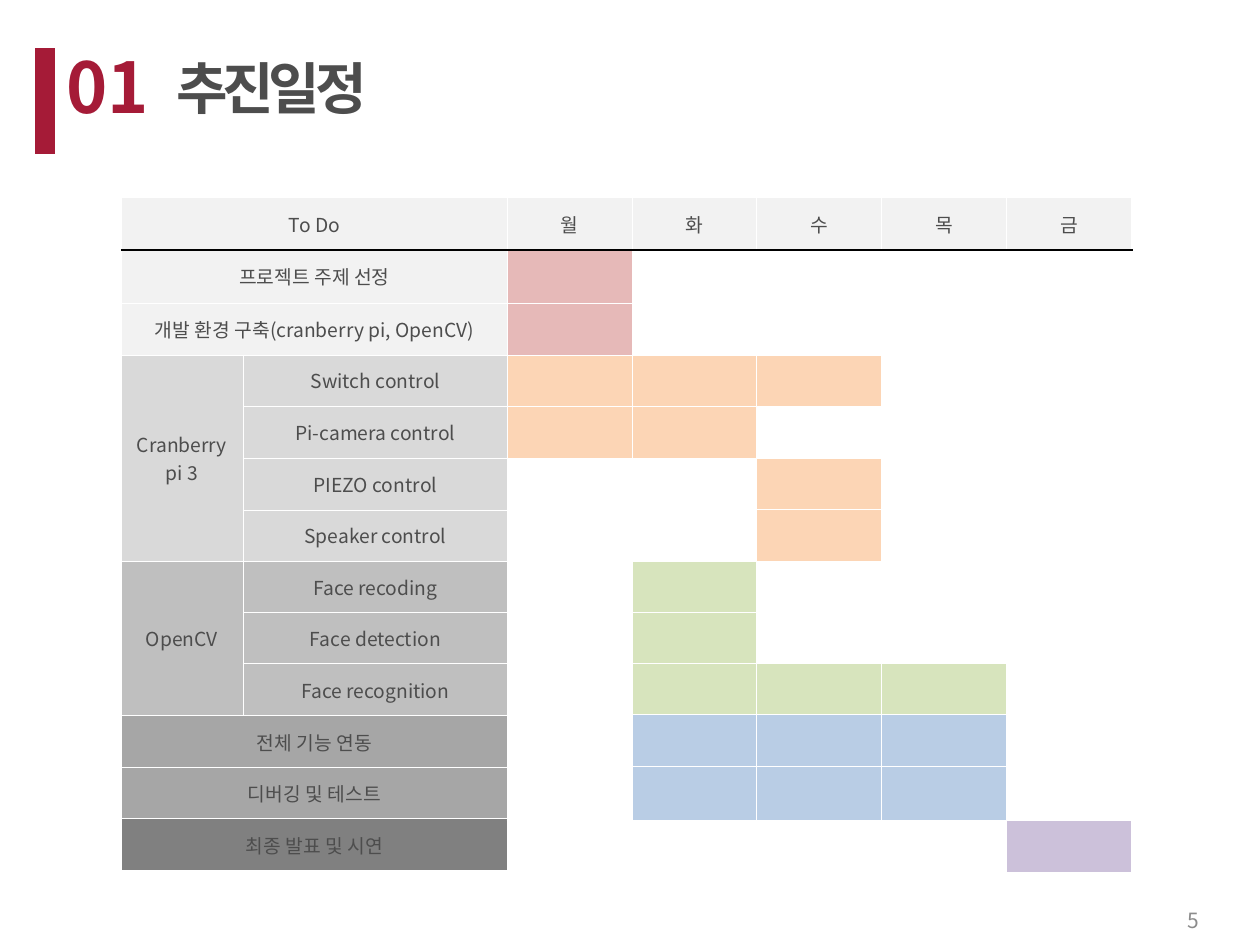
from dataclasses import dataclass

from lxml import etree
from pptx import Presentation
from pptx.dml.color import RGBColor
from pptx.enum.shapes import MSO_CONNECTOR, MSO_SHAPE
from pptx.enum.text import MSO_ANCHOR, PP_ALIGN
from pptx.oxml.ns import qn
from pptx.util import Emu, Pt

RECTANGLE = MSO_SHAPE.RECTANGLE
STRAIGHT = MSO_CONNECTOR.STRAIGHT
TOP, MIDDLE = MSO_ANCHOR.TOP, MSO_ANCHOR.MIDDLE
CENTER, RIGHT, JUSTIFY = PP_ALIGN.CENTER, PP_ALIGN.RIGHT, PP_ALIGN.JUSTIFY

EMU_PER_PX = 914400 / 126
FONT = "Noto Sans CJK KR"
CRIMSON, INK, GREY, WHITE, BLACK = "A51B37", "4D4D4D", "8C8C8C", "FFFFFF", "000000"
HEADER_SHADE = "F2F2F2"
PINK, ORANGE, GREEN, BLUE, PURPLE = "E6B9B8", "FCD5B5", "D7E4BD", "B9CDE5", "CCC1DA"
DAYS = "월화수목금"


@dataclass(frozen=True)
class Task:
    label: str
    shade: str
    days: str
    day_color: str
    group: str = ""


@dataclass(frozen=True)
class Label:
    text: str
    left: int
    top: int
    width: int
    height: int
    size: int
    color: str
    align: PP_ALIGN
    anchor: MSO_ANCHOR = TOP
    bold: bool = False
    spacing: int = 0


BOARD, VISION = "Cranberry pi 3", "OpenCV"
TASKS = [
    Task("프로젝트 주제 선정", "F2F2F2", "월", PINK),
    Task("개발 환경 구축(cranberry pi, OpenCV)", "F2F2F2", "월", PINK),
    Task("Switch control", "D9D9D9", "월화수", ORANGE, BOARD),
    Task("Pi-camera control", "D9D9D9", "월화", ORANGE, BOARD),
    Task("PIEZO control", "D9D9D9", "수", ORANGE, BOARD),
    Task("Speaker control", "D9D9D9", "수", ORANGE, BOARD),
    Task("Face recoding", "BFBFBF", "화", GREEN, VISION),
    Task("Face detection", "BFBFBF", "화", GREEN, VISION),
    Task("Face recognition", "BFBFBF", "화수목", GREEN, VISION),
    Task("전체 기능 연동", "A6A6A6", "화수목", BLUE),
    Task("디버깅 및 테스트", "A6A6A6", "화수목", BLUE),
    Task("최종 발표 및 시연", "808080", "금", PURPLE),
]
LABELS = [
    Label("01", 54, 37, 129, 97, 40, CRIMSON, JUSTIFY, bold=True),
    Label("추진일정", 164, 47, 456, 81, 32, INK, JUSTIFY, bold=True, spacing=-3),
    Label("5", 917, 895, 294, 50, 12, GREY, RIGHT, MIDDLE),
]


def px(length: int) -> Emu:
    return Emu(round(length * EMU_PER_PX))


def rgb(color: str) -> RGBColor:
    return RGBColor.from_string(color)


def even_split(total: int, count: int) -> list[int]:
    edges = [round(total * i / count) for i in range(count + 1)]
    return [end - start for start, end in zip(edges, edges[1:])]


def style_paragraph(paragraph, size: int, color: str, align: PP_ALIGN,
                    bold: bool = False, spacing: int = 0) -> None:
    paragraph.alignment = align
    font = paragraph.font
    font.size, font.bold, font.name = Pt(size), bold, FONT
    font.color.rgb = rgb(color)
    # Korean glyphs take the East Asian typeface
    defaults = paragraph._p.get_or_add_pPr().find(qn("a:defRPr"))
    etree.SubElement(defaults, qn("a:ea"), typeface=FONT)
    if spacing:
        defaults.set("spc", str(spacing * 100))


def add_label(slide, label: Label) -> None:
    box = slide.shapes.add_textbox(px(label.left), px(label.top), px(label.width), px(label.height))
    frame = box.text_frame
    frame.word_wrap = True
    frame.vertical_anchor = label.anchor
    frame.text = label.text
    style_paragraph(frame.paragraphs[0], label.size, label.color, label.align,
                    label.bold, label.spacing)


def add_borders(cell) -> None:
    properties = cell._tc.get_or_add_tcPr()
    for side in ("lnL", "lnR", "lnT", "lnB"):
        line = etree.SubElement(properties, qn(f"a:{side}"), w=str(Pt(0.5)))
        fill = etree.SubElement(line, qn("a:solidFill"))
        etree.SubElement(fill, qn("a:srgbClr"), val=WHITE)


def fill_cell(cell, text: str, color: str) -> None:
    cell.text = text
    cell.vertical_anchor = MIDDLE
    cell.margin_left = cell.margin_right = px(6)
    cell.margin_top = cell.margin_bottom = 0
    style_paragraph(cell.text_frame.paragraphs[0], 11, INK, CENTER)
    add_borders(cell)
    if color:
        cell.fill.solid()
        cell.fill.fore_color.rgb = rgb(color)
    else:
        cell.fill.background()


def add_grid(slide, left: int, top: int, columns: list[int], rows: list[int],
             content: list[list[tuple[str, str]]]):
    table = slide.shapes.add_table(len(rows), len(columns), px(left), px(top),
                                   px(sum(columns)), px(sum(rows))).table
    table.first_row = table.horz_banding = False
    for column, width in zip(table.columns, columns):
        column.width = px(width)
    for row, height in zip(table.rows, rows):
        row.height = px(height)
    for r, line in enumerate(content):
        for c, (text, color) in enumerate(line):
            fill_cell(table.cell(r, c), text, color)
    return table


def add_task_table(slide) -> None:
    content = [[("To Do", HEADER_SHADE), ("", HEADER_SHADE)]]
    spans = [(0, 0, 0, 1)]
    group_rows: dict[str, list[int]] = {}
    for row, task in enumerate(TASKS, start=1):
        if task.group:
            members = group_rows.setdefault(task.group, [])
            title = "" if members else task.group
            members.append(row)
            content.append([(title, task.shade), (task.label, task.shade)])
        else:
            content.append([(task.label, task.shade), ("", task.shade)])
            spans.append((row, 0, row, 1))
    spans += [(members[0], 0, members[-1], 0) for members in group_rows.values()]

    table = add_grid(slide, 121, 197, [122, 265], [53, 53] + even_split(568, 11), content)
    for first_row, first_column, last_row, last_column in spans:
        table.cell(first_row, first_column).merge(table.cell(last_row, last_column))


def add_day_table(slide) -> None:
    content = [[(day, HEADER_SHADE) for day in DAYS]]
    content += [[("", task.day_color if day in task.days else "") for day in DAYS]
                for task in TASKS]
    rows = [53, 53] + even_split(464, 9) + [54, 52]
    add_grid(slide, 507, 197, [125] * len(DAYS), rows, content)


def main() -> None:
    presentation = Presentation()
    presentation.slide_width, presentation.slide_height = px(1260), px(945)
    slide = presentation.slides.add_slide(presentation.slide_layouts[6])

    # Title bar, heading and page number
    accent = slide.shapes.add_shape(RECTANGLE, px(35), px(48), px(20), px(106))
    accent.shadow.inherit = False
    accent.fill.solid()
    accent.fill.fore_color.rgb = rgb(CRIMSON)
    accent.line.fill.background()
    for label in LABELS:
        add_label(slide, label)

    # Schedule
    add_task_table(slide)
    add_day_table(slide)

    # Rule under the header row
    rule = slide.shapes.add_connector(STRAIGHT, px(121), px(250), px(1133), px(250))
    rule.line.color.rgb = rgb(BLACK)
    rule.line.width = Pt(1)
    etree.SubElement(rule._element.spPr, qn("a:effectLst"))

    presentation.save("out.pptx")


if __name__ == "__main__":
    main()
